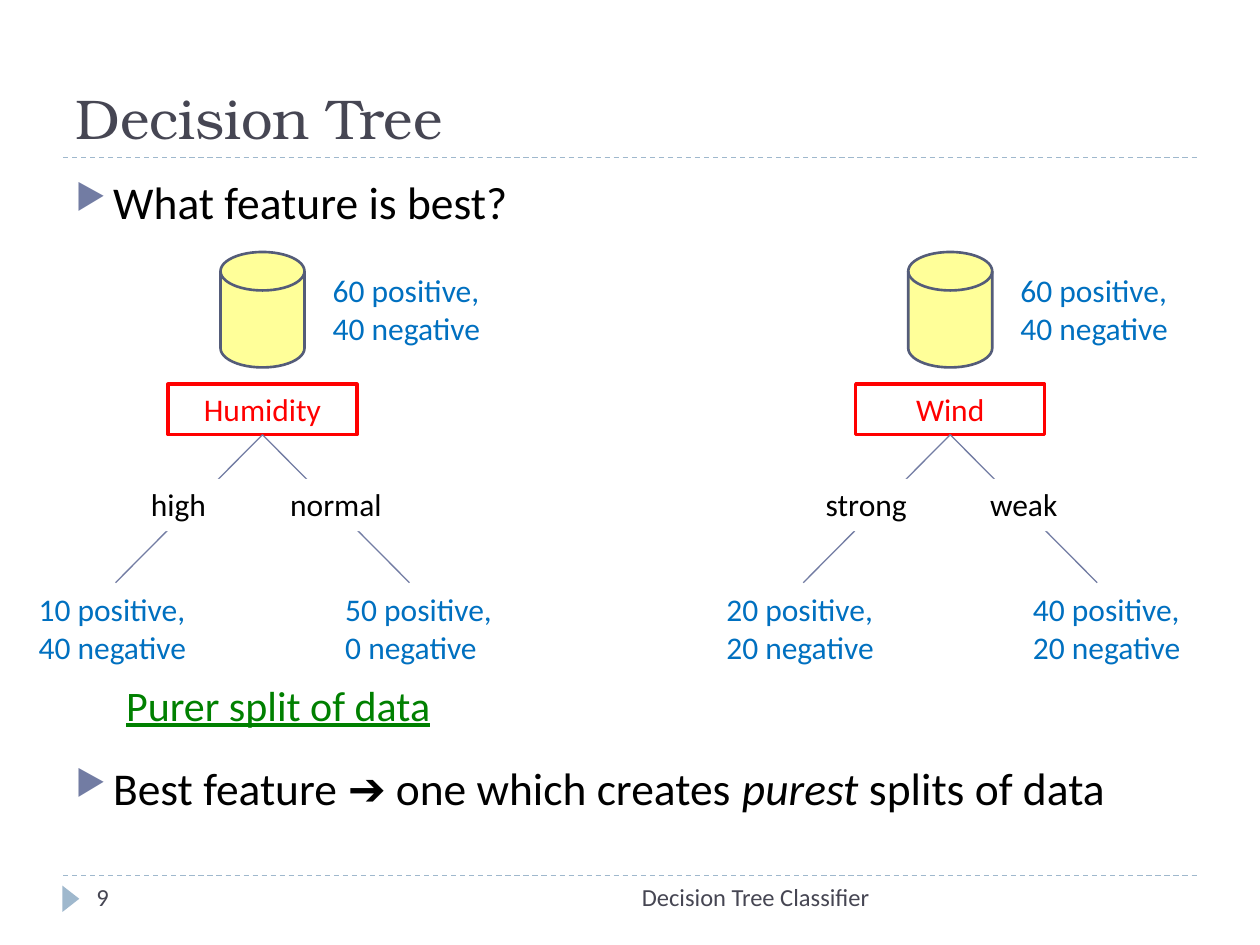
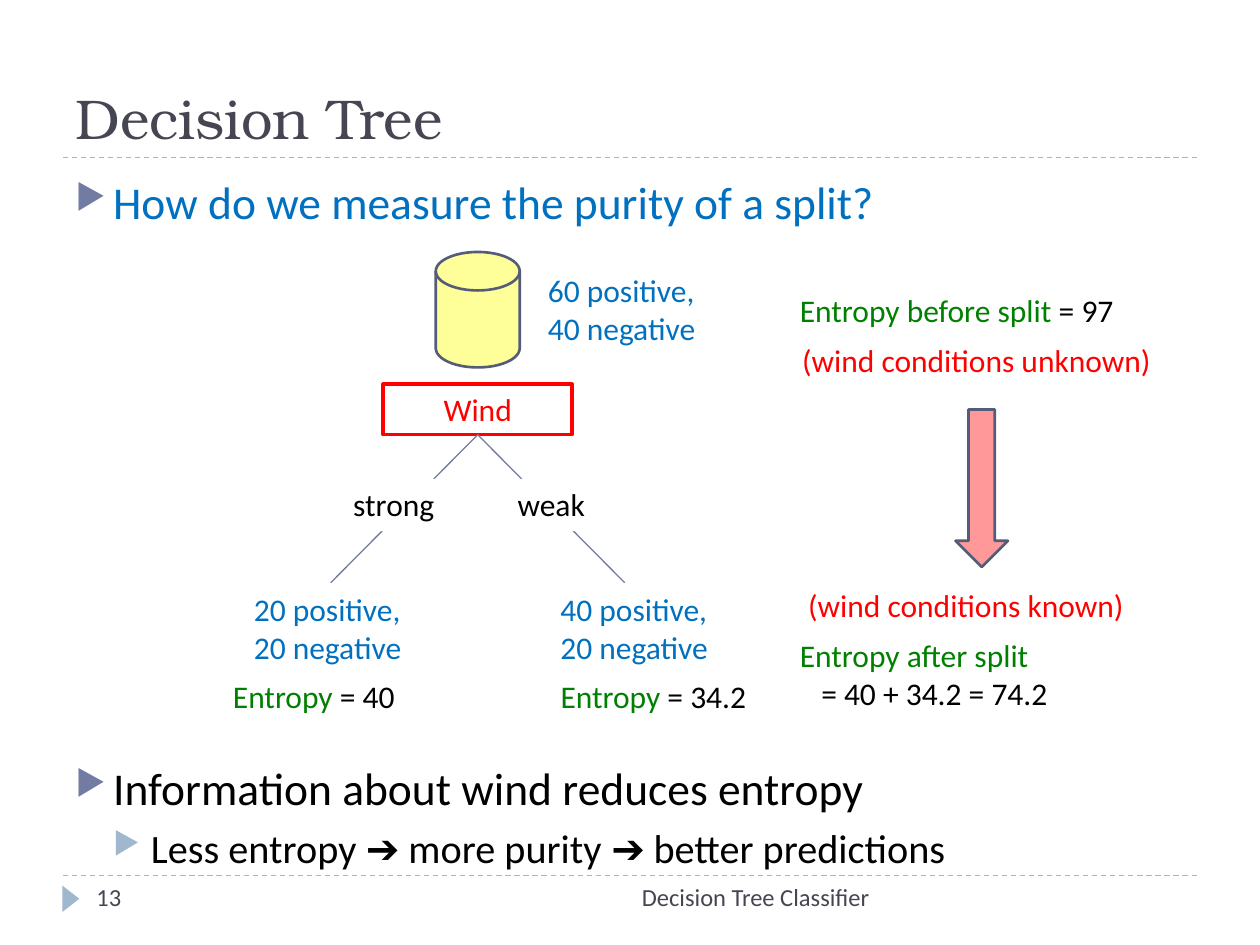
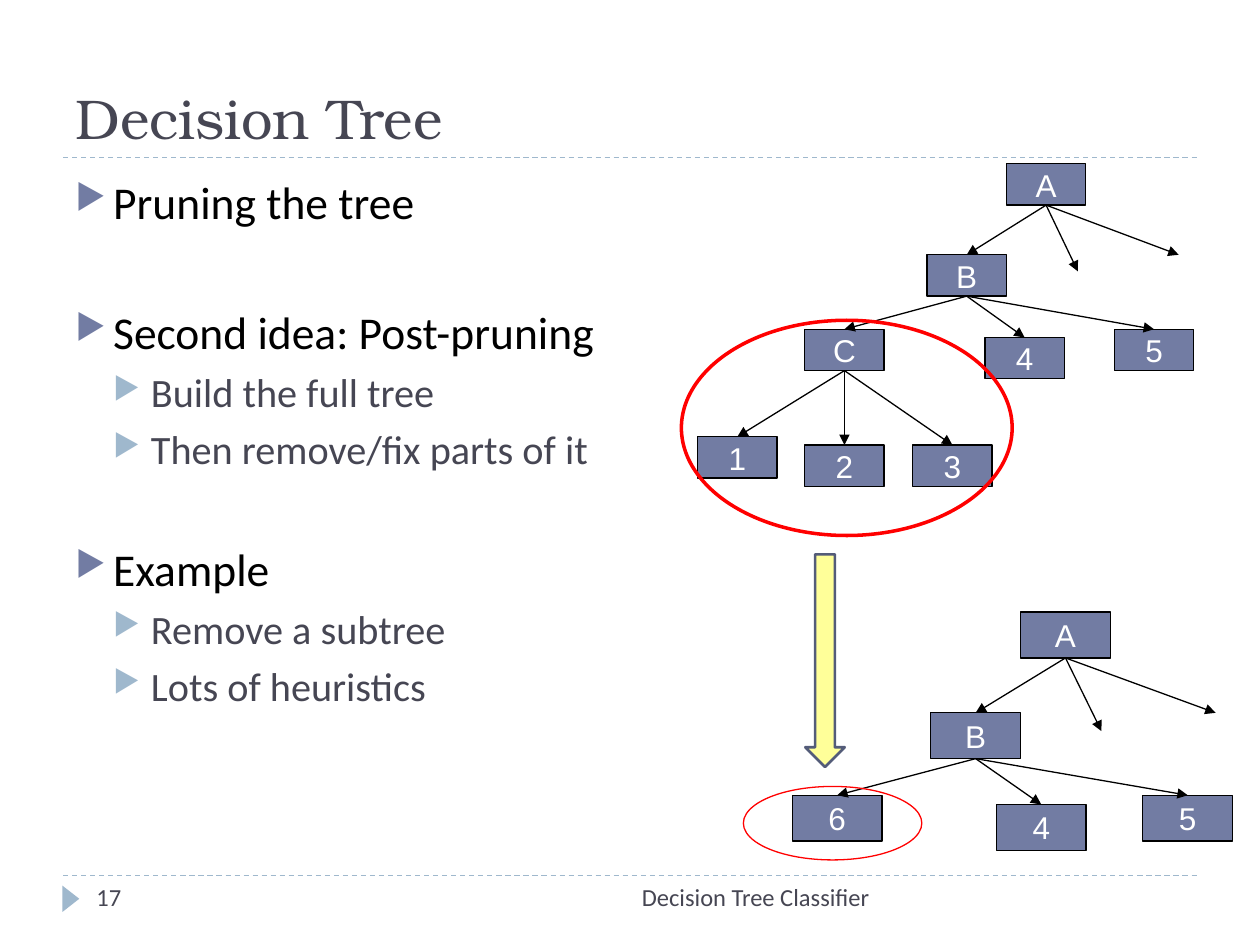
from lxml import etree
from pptx import Presentation, util as u
from pptx.dml.color import RGBColor
from pptx.enum import dml, shapes, text
from pptx.oxml import ns

COLUMNS, ROWS = 120, 90
CELL = u.Inches(10) // COLUMNS

BLACK = RGBColor(0x00, 0x00, 0x00)
WHITE = RGBColor(0xFF, 0xFF, 0xFF)
SLATE = RGBColor(0x46, 0x46, 0x53)
INDIGO = RGBColor(0x72, 0x7C, 0xA3)
OUTLINE = RGBColor(0x54, 0x5C, 0x79)
MIST = RGBColor(0x9F, 0xB8, 0xCD)
RED = RGBColor(0xFF, 0x00, 0x00)
YELLOW = RGBColor(0xFF, 0xFF, 0x00)
BLUE = RGBColor(0x00, 0x70, 0xC0)
GREEN = RGBColor(0x00, 0x80, 0x00)

TITLE_FONT, BODY_FONT, NODE_FONT = "TeX Gyre Bonum", "Calibri", "Arial"
LEFT, CENTER, RIGHT = text.PP_ALIGN.LEFT, text.PP_ALIGN.CENTER, text.PP_ALIGN.RIGHT
LEVELS = [(26, 6, INDIGO), (23, 5, MIST)]

NODES = {"A": (0, 0), "B": (-1, 2.2), "C": (-2.54, 4), "6": (-2.54, 4),
         "4": (-0.27, 4.2), "5": (1.36, 4),
         "1": (-3.89, 6.6), "2": (-2.54, 6.8), "3": (-1.18, 6.8)}
LOOSE_ENDS = [(0.9, 2.6), (2.17, 2.2)]


def grid(*cells):
    """Turn grid cells into slide lengths."""
    return [round(cell * CELL) for cell in cells]


def add_child(parent, tag, **attributes):
    """Append a drawing element with attributes."""
    return etree.SubElement(parent, ns.qn(tag), attributes)


def add_run(paragraph, words, size, color, font_name=BODY_FONT):
    """Add one formatted run and return its font."""
    run = paragraph.add_run()
    run.text = words
    font = run.font
    font.size, font.name = u.Pt(size), font_name
    font.color.rgb = color
    return font


def add_text(slide, box, runs, align=LEFT, size=18):
    """Place a wrapped text box and return its frame and fonts."""
    frame = slide.shapes.add_textbox(*grid(*box)).text_frame
    frame.word_wrap = True
    paragraph = frame.paragraphs[0]
    paragraph.alignment = align
    return frame, [add_run(paragraph, words, size, color) for words, color in runs]


def add_shape(slide, kind, box, fill=None, line=None, width=0.75, opacity=None):
    """Place a flat preset shape."""
    shape = slide.shapes.add_shape(kind, *grid(*box))
    shape.shadow.inherit = False
    if fill is None:
        shape.fill.background()
    else:
        shape.fill.solid()
        shape.fill.fore_color.rgb = fill
    if opacity:
        color = shape.fill._xPr.find(ns.qn("a:solidFill"))[0]
        add_child(color, "a:alpha", val=str(opacity * 1000))
    if line is None:
        shape.line.fill.background()
    else:
        shape.line.color.rgb = line
        shape.line.width = u.Pt(width)
    return shape


def add_label(slide, box, words, color, **style):
    """Place a rectangle with centred words."""
    shape = add_shape(slide, shapes.MSO_SHAPE.RECTANGLE, box, **style)
    shape.text_frame.vertical_anchor = text.MSO_ANCHOR.TOP
    paragraph = shape.text_frame.paragraphs[0]
    paragraph.alignment = CENTER
    add_run(paragraph, words, 18, color)


def add_line(slide, start, end, color, dash=False, arrow=False):
    """Draw a thin straight line between two grid points."""
    line = slide.shapes.add_connector(shapes.MSO_CONNECTOR.STRAIGHT, *grid(*start, *end))
    line.line.color.rgb = color
    line.line.width = u.Pt(0.75)
    if dash:
        line.line.dash_style = dml.MSO_LINE.DASH
    if arrow:
        add_child(line.line._get_or_add_ln(), "a:tailEnd", type="triangle")
    add_child(line._element.spPr, "a:effectLst")


def add_bullets(slide, top, items):
    """Write a bulleted block of (level, runs) below the given row."""
    frame = slide.shapes.add_textbox(*grid(6, top, 108, 6)).text_frame
    frame.word_wrap = True
    for index, (level, runs) in enumerate(items):
        size, space, bullet_color = LEVELS[level]
        paragraph = frame.add_paragraph() if index else frame.paragraphs[0]
        paragraph.space_before = u.Pt(space)
        properties = paragraph._p.get_or_add_pPr()
        properties.set("marL", str(u.Inches(0.3 * (level + 1))))
        properties.set("indent", str(-u.Inches(0.3)))
        color = add_child(properties, "a:buClr")
        add_child(color, "a:srgbClr", val=str(bullet_color))
        add_child(properties, "a:buSzPct", val="76000")
        add_child(properties, "a:buChar", char="▶")
        for words, run_color, italic in runs:
            add_run(paragraph, words, size, run_color).italic = italic


def add_base(presentation, number):
    """Start a slide with the shared title, rules and footer."""
    slide = presentation.slides.add_slide(presentation.slide_layouts[5])
    for row in (83.4, 15):
        add_line(slide, (6, row), (114, row), MIST, dash=True)
    marker = add_shape(slide, shapes.MSO_SHAPE.ISOSCELES_TRIANGLE, (5.5, 84.8, 2.5, 1.6), MIST)
    marker.rotation = 90
    title = slide.shapes.title
    title.left, title.top, title.width, title.height = grid(6, 2, 108, 13)
    title.text_frame.vertical_anchor = text.MSO_ANCHOR.BOTTOM
    paragraph = title.text_frame.paragraphs[0]
    paragraph.alignment = LEFT
    add_run(paragraph, "Decision Tree", 32, SLATE, TITLE_FONT)
    add_text(slide, (38, 83.4, 46, 4.8), [("Decision Tree Classifier", SLATE)], RIGHT, 14)
    add_text(slide, (8, 83.4, 26, 4.8), [(str(number), SLATE)], size=14)
    return slide


def add_split(slide, left, top, feature, branches, counts):
    """Draw a data store split by a feature into two branches."""
    def box(column, row, width, height):
        return left + column, top + row, width, height

    add_shape(slide, shapes.MSO_SHAPE.FLOWCHART_MAGNETIC_DISK, box(18.5, 0, 8, 11),
              YELLOW, OUTLINE, 1.5, opacity=40)
    add_label(slide, box(13.5, 12.6, 18, 4.8), feature, RED, line=RED, width=2)
    for end, column, branch in zip((8.5, 36.5), (8.5, 23.5), branches):
        add_line(slide, (left + 22.5, top + 17.4), (left + end, top + 31.5), INDIGO)
        add_label(slide, box(column, 21.6, 12, 5), branch, BLACK, fill=WHITE)
    for (column, row), count in zip([(28, 1.2), (0, 31.6), (29.2, 31.6)], counts):
        add_text(slide, box(column, row, 17, 8.5), [(count, BLUE)])


def add_node_tree(slide, root, edges):
    """Draw a tree on a grid whose cell is the root's box."""
    left, top, width, height = root

    def point(column, row):
        return left + column * width, top + row * height

    for name in dict.fromkeys("".join(edges)):
        shape = add_shape(slide, shapes.MSO_SHAPE.RECTANGLE,
                          (*point(*NODES[name]), width, height), INDIGO, BLACK)
        frame = shape.text_frame
        frame.word_wrap = False
        frame.vertical_anchor = text.MSO_ANCHOR.MIDDLE
        paragraph = frame.paragraphs[0]
        paragraph.alignment = CENTER
        add_run(paragraph, name, 18, WHITE, NODE_FONT)
    links = [(NODES[parent], (NODES[child][0] + 0.5, NODES[child][1])) for parent, child in edges]
    links += [(NODES["A"], end) for end in LOOSE_ENDS]
    for (column, row), end in links:
        add_line(slide, point(column + 0.5, row + 1), point(*end), BLACK, arrow=True)


def build_feature_slide(presentation):
    """Compare the splits of two features."""
    slide = add_base(presentation, 9)
    add_bullets(slide, 16, [(0, [("What feature is best?", BLACK, False)])])
    add_bullets(slide, 71.8, [(0, [("Best feature ➔ one which creates ", BLACK, False),
                                   ("purest", BLACK, True),
                                   (" splits of data", BLACK, False)])])
    start = "60 positive, 40 negative"
    add_split(slide, 2.5, 24, "Humidity", ("high", "normal"),
              (start, "10 positive, 40 negative", "50 positive, 0 negative"))
    add_split(slide, 68, 24, "Wind", ("strong", "weak"),
              (start, "20 positive, 20 negative", "40 positive, 20 negative"))
    fonts = add_text(slide, (8, 64.1, 37, 6), [("Purer split of data", GREEN)], CENTER, 24)[1]
    fonts[0].underline = True


def build_entropy_slide(presentation):
    """Show how a split lowers entropy."""
    slide = add_base(presentation, 13)
    add_bullets(slide, 16, [(0, [("How do we measure the purity of a split?", BLUE, False)])])
    add_bullets(slide, 71.8, [
        (0, [("Information about wind reduces entropy", BLACK, False)]),
        (1, [("Less entropy ➔ more purity ➔ better predictions", BLACK, False)])])
    add_split(slide, 23, 24, "Wind", ("strong", "weak"),
              ("60 positive, 40 negative", "20 positive, 20 negative", "40 positive, 20 negative"))
    for box, name, value in [((75, 27.1, 36, 4.8), "Entropy before split", " = 97"),
                             ((21, 63.9, 21, 4.8), "Entropy", " = 40"),
                             ((52.2, 63.9, 21, 4.8), "Entropy", " = 34.2")]:
        add_text(slide, box, [(name, GREEN), (value, BLACK)])
    frame, _ = add_text(slide, (75, 60, 36, 8.5), [("Entropy after split", GREEN)])
    result = frame.add_paragraph()
    result._p.get_or_add_pPr().set("marL", str(u.Inches(0.17)))
    add_run(result, "= 40 + 34.2 = 74.2", 18, BLACK)
    for column, row, state in [(74, 31.9, "unknown"), (73, 55.2, "known")]:
        add_text(slide, (column, row, 38, 4.8), [(f"(wind conditions {state})", RED)], CENTER)
    add_shape(slide, shapes.MSO_SHAPE.DOWN_ARROW, (91, 39, 5, 15), RED, OUTLINE, 1.5, opacity=40)


def build_pruning_slide(presentation):
    """Show a subtree replaced by a single leaf."""
    slide = add_base(presentation, 17)
    blocks = [(16, "Pruning the tree", []),
              (28.4, "Second idea: Post-pruning",
               ["Build the full tree", "Then remove/fix parts of it"]),
              (50.9, "Example", ["Remove a subtree", "Lots of heuristics"])]
    for top, heading, details in blocks:
        add_bullets(slide, top, [(0, [(heading, BLACK, False)])]
                    + [(1, [(detail, SLATE, False)]) for detail in details])
    oval = shapes.MSO_SHAPE.OVAL
    add_node_tree(slide, (95.85, 15.6, 7.56, 3.94), ["AB", "BC", "C1", "C2", "C3", "B4", "B5"])
    add_shape(slide, oval, (64.9, 30.5, 31.5, 20.5), line=RED, width=2)
    add_node_tree(slide, (97.2, 58.3, 8.56, 4.36), ["AB", "B6", "B4", "B5"])
    add_shape(slide, oval, (70.8, 74.9, 17, 7), line=RED)
    add_shape(slide, shapes.MSO_SHAPE.DOWN_ARROW, (76.7, 52.8, 3.75, 20.25),
              YELLOW, OUTLINE, 1.5, opacity=40)


def main():
    """Build and save the presentation."""
    presentation = Presentation()
    presentation.slide_width, presentation.slide_height = grid(COLUMNS, ROWS)
    build_feature_slide(presentation)
    build_entropy_slide(presentation)
    build_pruning_slide(presentation)
    presentation.save("out.pptx")


if __name__ == "__main__":
    main()
